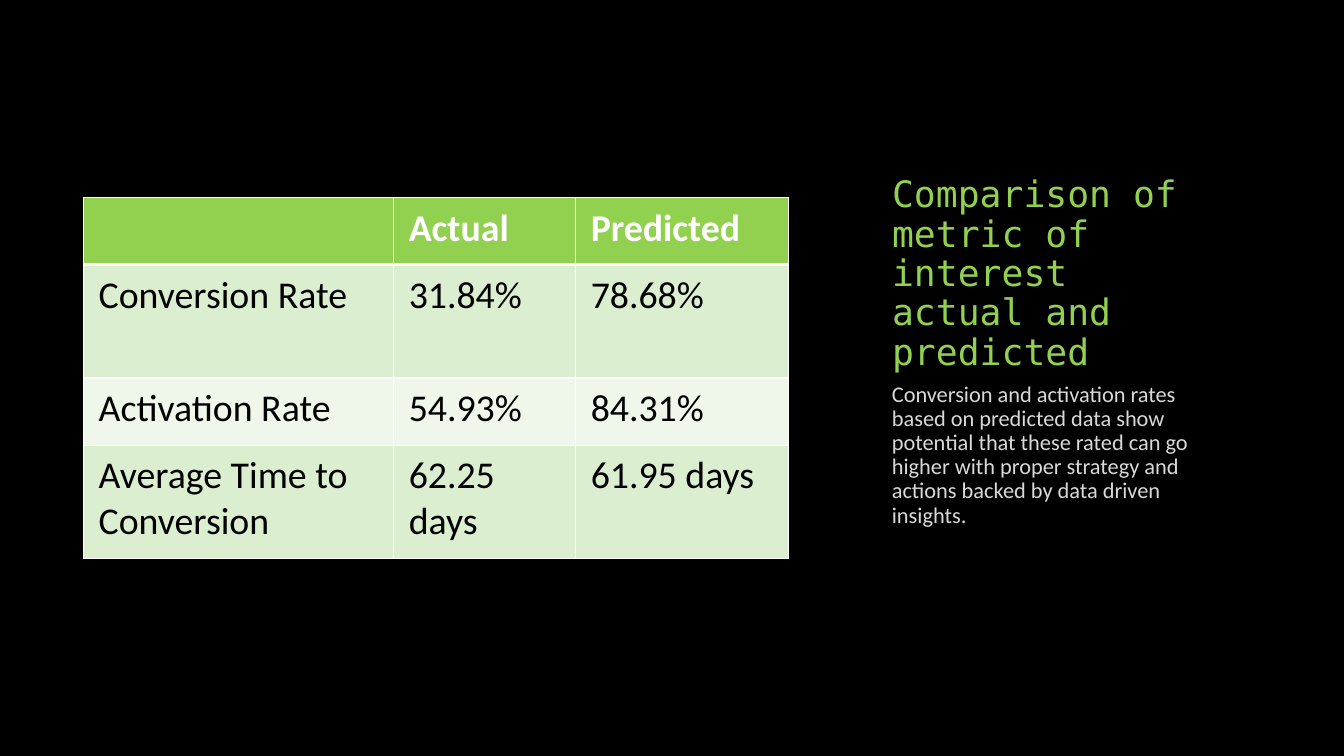
from pptx import Presentation
from pptx.dml.color import RGBColor
from pptx.enum.text import MSO_ANCHOR, MSO_AUTO_SIZE, PP_ALIGN
from pptx.oxml.ns import qn
from pptx.util import Pt
from lxml.etree import SubElement

COLORS = {
    "black": "000000",
    "white": "FFFFFF",
    "green": "92D050",
    "band_dark": "DCEED0",
    "band_light": "EEF7E9",
    "grey": "D9D9D9",
}
TITLE = "Comparison of metric of interest actual and predicted"
SUMMARY = ("Conversion and activation rates based on predicted data show "
           "potential that these rated can go higher with proper strategy "
           "and actions backed by data driven insights.")
METRICS = [
    ["", "Actual", "Predicted"],
    ["Conversion Rate", "31.84%", "78.68%"],
    ["Activation Rate", "54.93%", "84.31%"],
    ["Average Time to Conversion", "62.25 days", "61.95 days"],
]


def rgb(name):
    return RGBColor.from_string(COLORS[name])


class SlideBuilder:
    heading_font = "DejaVu Sans Mono"
    body_font = "Calibri"

    def __init__(self, slide, background):
        self.s = slide
        fill = slide.background.fill
        fill.solid()
        fill.fore_color.rgb = rgb(background)

    def add_text(self, tf, text, size, color, font=None, bold=False):
        p = tf.paragraphs[0]
        p.alignment = PP_ALIGN.LEFT
        r = p.add_run()
        r.text = text
        r.font.name = font or self.body_font
        r.font.size = Pt(size)
        r.font.bold = bold
        r.font.color.rgb = rgb(color)
        return p

    def frame(self, sp, anchor):
        tf = sp.text_frame
        tf.word_wrap = True
        tf.auto_size = MSO_AUTO_SIZE.NONE
        tf.vertical_anchor = anchor
        return tf

    def title(self, text, left, top, width, height):
        sp = self.s.shapes.title
        sp.left, sp.top, sp.width, sp.height = map(Pt, (left, top, width, height))
        tf = self.frame(sp, MSO_ANCHOR.BOTTOM)
        p = self.add_text(tf, text, 26, "green", self.heading_font)
        p.line_spacing = 0.9

    def text(self, text, left, top, width, height):
        sp = self.s.shapes.add_textbox(*map(Pt, (left, top, width, height)))
        p = self.add_text(self.frame(sp, MSO_ANCHOR.TOP), text, 16, "grey")
        p.line_spacing = 0.9
        p.space_after = Pt(6)

    def border(self, cell, side, width):
        ln = SubElement(cell._tc.get_or_add_tcPr(), qn(f"a:ln{side}"), w=str(Pt(width)))
        fill = SubElement(ln, qn("a:solidFill"))
        SubElement(fill, qn("a:srgbClr"), val=COLORS["white"])

    def table(self, rows, left, top, widths, heights):
        box = map(Pt, (left, top, sum(widths), sum(heights)))
        table = self.s.shapes.add_table(len(rows), len(widths), *box).table
        for column, width in zip(table.columns, widths):
            column.width = Pt(width)
        for i, (row, height) in enumerate(zip(rows, heights)):
            table.rows[i].height = Pt(height)
            header = i == 0
            band = "green" if header else "band_dark" if i % 2 else "band_light"
            for j, text in enumerate(row):
                cell = table.cell(i, j)
                cell.margin_left = cell.margin_right = Pt(11)
                cell.margin_top = cell.margin_bottom = Pt(5.5)
                # Thick rule between header and body, thin rules elsewhere
                for side in "LRTB":
                    thick = (i, side) in ((0, "B"), (1, "T"))
                    self.border(cell, side, 3 if thick else 1)
                cell.fill.solid()
                cell.fill.fore_color.rgb = rgb(band)
                if text:
                    self.add_text(cell.text_frame, text, 27,
                                  "white" if header else "black", bold=header)


def main():
    prs = Presentation()
    prs.slide_width, prs.slide_height = Pt(960), Pt(540)
    slide = SlideBuilder(prs.slides.add_slide(prs.slide_layouts[5]), "black")

    # Heading and summary on the right
    slide.title(TITLE, 630, 126, 246, 144)
    slide.text(SUMMARY, 630, 270, 246, 144)

    # Metrics table on the left
    slide.table(METRICS, 59.5, 141, [221.5, 130, 152.5], [48, 81, 48, 81])

    prs.save("out.pptx")


if __name__ == "__main__":
    main()
